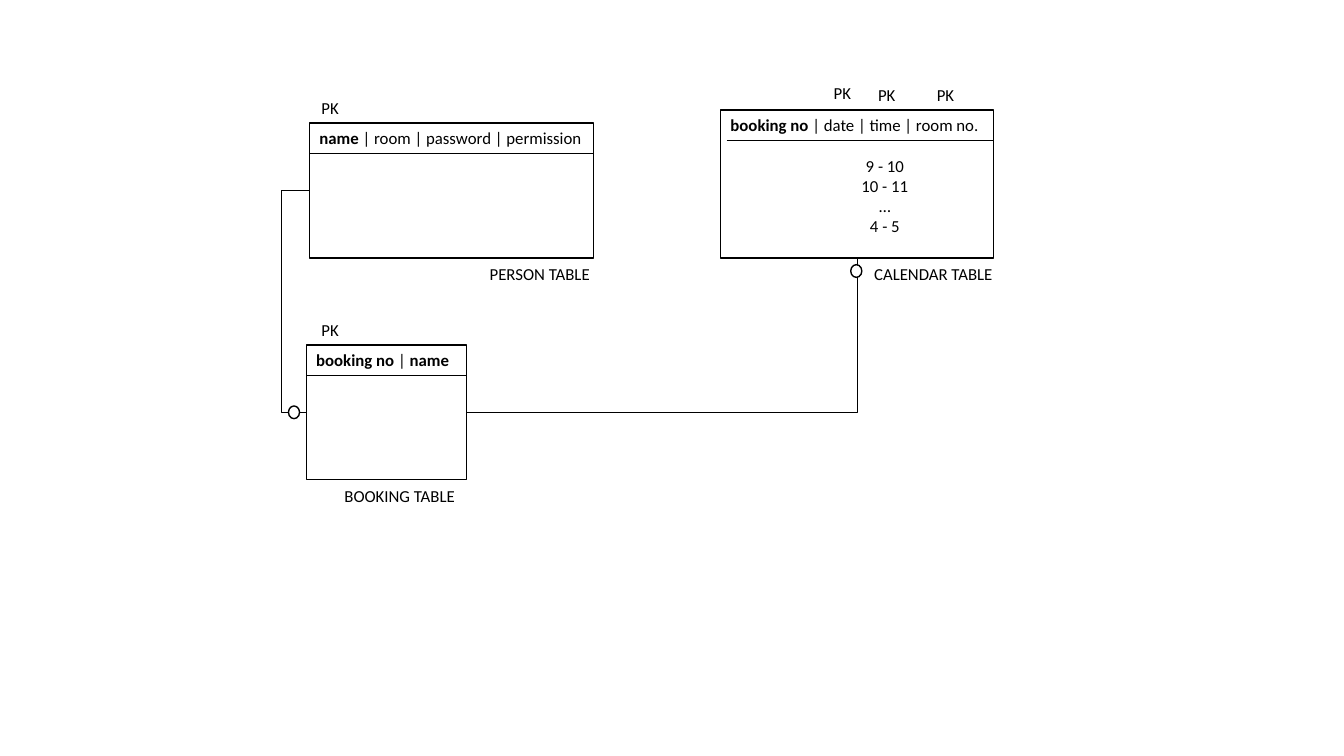
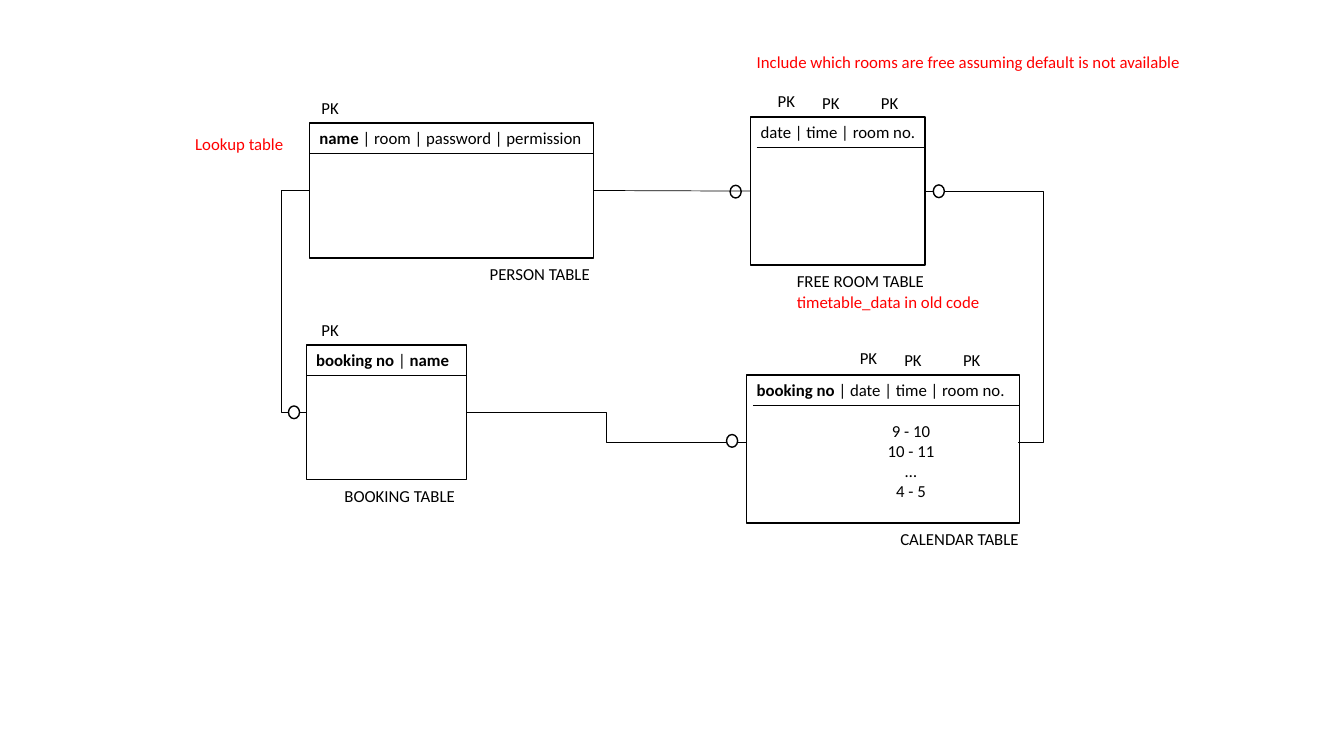
from lxml import etree
from pptx import Presentation
from pptx.dml.color import RGBColor
from pptx.enum.shapes import MSO_CONNECTOR, MSO_SHAPE
from pptx.enum.text import PP_ALIGN
from pptx.oxml.ns import qn
from pptx.util import Cm, Pt

BLACK = RGBColor(0x00, 0x00, 0x00)
WHITE = RGBColor(0xFF, 0xFF, 0xFF)
RED = RGBColor(0xFF, 0x00, 0x00)

RECTANGLE = MSO_SHAPE.RECTANGLE
OVAL = MSO_SHAPE.OVAL
STRAIGHT = MSO_CONNECTOR.STRAIGHT
ELBOW = MSO_CONNECTOR.ELBOW
CENTER = PP_ALIGN.CENTER
TOP, LEFT, BOTTOM, RIGHT = range(4)

LINE_HEIGHT = 0.78
RULE_DROP = 0.77
KEY_FIELDS = {"name", "booking no"}
SLOT_FIELDS = ("date", "time", "room no.")
SLOT_KEYS = ((0, 0.8), (1.12, 0.75), (2.6, 0.75))
SINGLE_KEY = ((0, 0.76),)
HOURS = ("9 - 10", "10 - 11", "…", "4 - 5")


class SchemaDeck:
    """Draws database tables and their relations on the current slide."""

    def __init__(self):
        self.deck = Presentation()
        self.deck.slide_width = Cm(33.87)
        self.deck.slide_height = Cm(19.05)
        self.slide = None

    def new_slide(self):
        self.slide = self.deck.slides.add_slide(self.deck.slide_layouts[6])

    def style_run(self, run, color=BLACK, bold=False):
        run.font.name = "Calibri"
        run.font.size = Pt(12)
        run.font.bold = bold
        run.font.color.rgb = color

    def text_box(self, left, top, width, height=LINE_HEIGHT):
        box = self.slide.shapes.add_textbox(
            Cm(left), Cm(top), Cm(width), Cm(height))
        box.text_frame.word_wrap = True
        box.text_frame.margin_right = 0
        return box

    def label(self, left, top, width, text, color=BLACK, remark=None):
        frame = self.text_box(left, top, width).text_frame
        frame.text = text
        self.style_run(frame.paragraphs[0].runs[0], color)
        if remark:
            paragraph = frame.add_paragraph()
            paragraph.text = remark
            self.style_run(paragraph.runs[0], RED)

    def outlined(self, preset, left, top, width, height):
        shape = self.slide.shapes.add_shape(
            preset, Cm(left), Cm(top), Cm(width), Cm(height))
        shape.shadow.inherit = False
        shape.fill.solid()
        shape.fill.fore_color.rgb = WHITE
        shape.line.color.rgb = BLACK
        shape.line.width = Pt(1)
        return shape

    def connector(self, kind, x1=0, y1=0, x2=0, y2=0):
        line = self.slide.shapes.add_connector(
            kind, Cm(x1), Cm(y1), Cm(x2), Cm(y2))
        line.line.color.rgb = BLACK
        line.line.width = Pt(0.5)
        etree.SubElement(line._element.spPr, qn("a:effectLst"))
        return line

    def relation(self, start, start_side, end, end_side,
                 kind=ELBOW, bend=None, corner=False):
        line = self.connector(kind)
        line.begin_connect(start, start_side)
        line.end_connect(end, end_side)
        geometry = line._element.spPr.find(qn("a:prstGeom"))
        if corner:
            geometry.set("prst", "bentConnector2")
        if bend is not None:
            share = (Cm(bend) - line.begin_x) / (line.end_x - line.begin_x)
            guide = etree.SubElement(geometry.find(qn("a:avLst")), qn("a:gd"))
            guide.set("name", "adj1")
            guide.set("fmla", f"val {round(share * 100000)}")

    def optional_mark(self, center_x, center_y):
        width, height = 0.28, 0.32
        self.outlined(OVAL, center_x - width / 2, center_y - height / 2,
                      width, height)

    def fields(self, left, top, width, height, names, hours):
        box = self.text_box(left, top, width, height)
        header = box.text_frame.paragraphs[0]
        for index, name in enumerate(names):
            if index:
                separator = header.add_run()
                separator.text = " | "
                self.style_run(separator)
            field = header.add_run()
            field.text = name
            self.style_run(field, bold=name in KEY_FIELDS)
        for index, hour in enumerate(hours):
            paragraph = box.text_frame.add_paragraph()
            paragraph.text = hour
            paragraph.alignment = CENTER
            paragraph._p.get_or_add_pPr().set("marL", str(Cm(1.2)))
            if index == 0:
                paragraph.space_before = Pt(14.6)
            self.style_run(paragraph.runs[0])
        return box

    def table(self, left, top, width, height, names, caption, caption_shift,
              keys=SINGLE_KEY, key_shift=0.1, rule_inset=0.0,
              hours=(), remark=None):
        frame = self.outlined(RECTANGLE, left, top, width, height)
        fields = self.fields(left, top, width - 0.05,
                             3.38 if hours else LINE_HEIGHT, names, hours)
        rule_y = top + RULE_DROP
        self.connector(STRAIGHT, left + rule_inset, rule_y,
                       left + width, rule_y)
        for key_x, rise in keys:
            self.label(left + key_shift + key_x, top - rise, 0.97, "PK")
        self.label(left + caption_shift, top + height + 0.03, 5.2, caption,
                   remark=remark)
        return frame, fields

    def person_and_booking(self):
        person, _ = self.table(
            7.8, 3.1, 7.16, 3.4, ("name", "room", "password", "permission"),
            "PERSON TABLE", 4.29, key_shift=0.05)
        booking, _ = self.table(
            7.72, 8.69, 4.04, 3.4, ("booking no", "name"),
            "BOOKING TABLE", 0.71, key_shift=0.13)
        self.relation(person, LEFT, booking, LEFT, bend=7.09)
        self.optional_mark(7.41, 10.39)
        return person, booking

    def calendar(self, left, top):
        return self.table(
            left, top, 6.88, 3.73, ("booking no",) + SLOT_FIELDS,
            "CALENDAR TABLE", 3.62, SLOT_KEYS, 2.6, 0.15, HOURS)

    def free_room(self, left, top):
        return self.table(
            left, top, 4.39, 3.73, SLOT_FIELDS, "FREE ROOM TABLE", 0.91,
            SLOT_KEYS, 0.43, 0.15, remark="timetable_data in old code")


def main():
    schema = SchemaDeck()

    schema.new_slide()
    _, booking = schema.person_and_booking()
    calendar, _ = schema.calendar(18.16, 2.77)
    schema.relation(booking, RIGHT, calendar, BOTTOM, corner=True)
    schema.optional_mark(21.58, 6.83)

    schema.new_slide()
    person, booking = schema.person_and_booking()
    _, calendar_fields = schema.calendar(18.82, 9.45)
    schema.relation(booking, RIGHT, calendar_fields, LEFT)
    schema.optional_mark(18.45, 11.11)
    free_room, _ = schema.free_room(18.92, 2.95)
    schema.optional_mark(18.54, 4.83)
    schema.relation(person, RIGHT, free_room, LEFT, kind=STRAIGHT)
    schema.relation(free_room, RIGHT, calendar_fields, RIGHT, bend=26.29)
    schema.optional_mark(23.66, 4.82)
    schema.label(4.67, 3.25, 2.77, "Lookup table", RED)
    schema.label(
        18.82, 1.19, 11.3,
        "Include which rooms are free assuming default is not available", RED)

    schema.deck.save("out.pptx")


if __name__ == "__main__":
    main()
